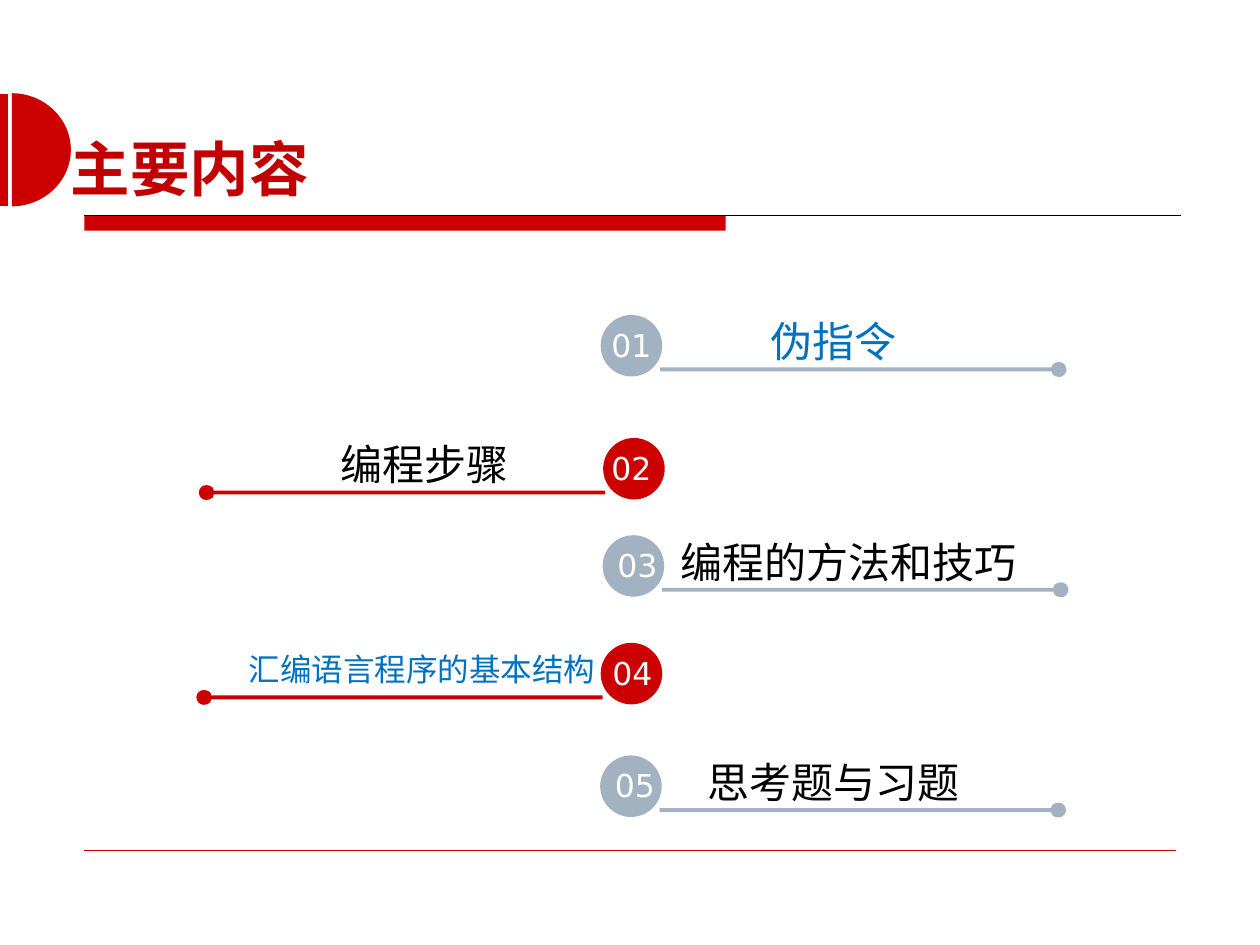
from lxml.etree import SubElement
from pptx import Presentation
from pptx.dml.color import RGBColor
from pptx.enum.shapes import MSO_CONNECTOR, MSO_SHAPE
from pptx.enum.text import MSO_ANCHOR, PP_ALIGN
from pptx.oxml.ns import qn
from pptx.util import Cm, Pt

RED = RGBColor(0xCC, 0x00, 0x00)
TITLE_RED = RGBColor(0xC0, 0x00, 0x00)
GREY = RGBColor(0xA3, 0xB2, 0xC1)
BLUE = RGBColor(0x00, 0x70, 0xC0)
BLACK = RGBColor(0x00, 0x00, 0x00)
WHITE = RGBColor(0xFF, 0xFF, 0xFF)
LATIN, CJK = "DejaVu Sans", "Noto Sans CJK SC"

# Content: label, size, colour, disc centre x, disc top, number centre x, left inset (cm)
TITLE = "主要内容"
ITEMS = [
    ("伪指令", 24, BLUE, 12.73, 6.35, 12.73, 0),
    ("编程步骤", 24, BLACK, 12.78, 8.83, 12.73, 0),
    ("编程的方法和技巧", 24, BLACK, 12.77, 10.79, 12.85, 0.52),
    ("汇编语言程序的基本结构", 18, BLUE, 12.73, 12.96, 12.75, 0),
    ("思考题与习题", 24, BLACK, 12.72, 15.23, 12.8, 0),
]

# Marker geometry (cm)
DISC_R, DOT_R, BAR_HALF = 0.62, 0.15, 0.04
BAR_START, DOT_X, DOT_Y = 0.58, 8.62, 1.1
KAPPA = 0.55  # control length of a quarter-circle curve


def quarters(cx, cy, rx, ry, count):
    """Clockwise from the top: a start point, then one curve per quarter."""
    dirs = [(0, -1), (1, 0), (0, 1), (-1, 0), (0, -1)]
    steps = [[(cx, cy - ry)]]
    for (ax, ay), (bx, by) in zip(dirs[:count], dirs[1:]):
        steps.append([(cx + rx * (ax + KAPPA * bx), cy + ry * (ay + KAPPA * by)),
                      (cx + rx * (bx + KAPPA * ax), cy + ry * (by + KAPPA * ay)),
                      (cx + rx * bx, cy + ry * by)])
    return steps


def paint(sp, color):
    sp.shadow.inherit = False
    sp.fill.solid()
    sp.fill.fore_color.rgb = color
    sp.line.fill.background()


def add_outline(s, contours, color):
    """Draw contours whose steps hold one point (line) or three (curve)."""
    fb = None
    for steps in contours:
        pts = [(Cm(x), Cm(y)) for step in steps for x, y in step]
        if fb is None:
            fb = s.shapes.build_freeform(*pts[0])
        else:
            fb.move_to(*pts[0])
        fb.add_line_segments(pts[1:])
    sp = fb.convert_to_shape()
    # Join the segments of each three-point step into a curve
    nodes = [n for n in sp._element.iter(qn("a:moveTo"), qn("a:lnTo"))]
    i = 0
    for step in (step for steps in contours for step in steps):
        if len(step) == 3:
            first, *rest = nodes[i:i + 3]
            curve = first.makeelement(qn("a:cubicBezTo"))
            first.addprevious(curve)
            for node in (first, *rest):
                curve.append(node[0])
                node.getparent().remove(node)
        i += len(step)
    paint(sp, color)
    return sp


def add_rect(s, x, y, w, h, color):
    sp = s.shapes.add_shape(MSO_SHAPE.RECTANGLE, Cm(x), Cm(y), Cm(w), Cm(h))
    paint(sp, color)


def add_rule(s, x1, x2, y, color, width):
    cn = s.shapes.add_connector(MSO_CONNECTOR.STRAIGHT, Cm(x1), Cm(y), Cm(x2), Cm(y))
    cn.line.color.rgb = color
    cn.line.width = Pt(width)
    SubElement(cn._element.spPr, qn("a:effectLst"))


def set_text(sp, text, size, color, latin=LATIN, bold=False, insets=(0, 0, 0, 0)):
    tf = sp.text_frame
    tf.text = text
    tf.word_wrap = True
    tf.vertical_anchor = MSO_ANCHOR.MIDDLE
    tf.margin_left, tf.margin_top, tf.margin_right, tf.margin_bottom = map(Cm, insets)
    p = tf.paragraphs[0]
    p.alignment = PP_ALIGN.CENTER
    r = p.runs[0]
    r.font.size, r.font.bold, r.font.name = Pt(size), bold, latin
    r.font.color.rgb = color
    SubElement(r._r.get_or_add_rPr(), qn("a:ea"), typeface=CJK)


def add_marker(s, number, item):
    label, size, label_color, cx, top, number_x, inset = item
    on_right = number % 2 == 1
    side = 1 if on_right else -1
    # Bar ending in a dot, mirrored on even rows, plus the number disc
    neck = DOT_X - 0.13
    stem = quarters(DOT_X, 0, DOT_R, DOT_R, 2) + [
        [(DOT_X - 0.05, DOT_R), (DOT_X - 0.1, 0.13), (neck, 0.1)],
        [(neck - 0.02, BAR_HALF)], [(BAR_START, BAR_HALF)],
        [(BAR_START, -BAR_HALF)], [(neck - 0.02, -BAR_HALF)], [(neck, -0.1)],
        [(DOT_X - 0.1, -0.13), (DOT_X - 0.05, -DOT_R), (DOT_X, -DOT_R)],
    ]
    stem = [[(cx + side * x, top + DOT_Y + y) for x, y in step] for step in stem]
    disc = quarters(cx, top + DISC_R, DISC_R, DISC_R, 4)
    sp = add_outline(s, [stem, disc], GREY if on_right else RED)
    set_text(sp, label, size, label_color,
             insets=(inset, 0, 0 if on_right else 0.3, 0.2))
    tb = s.shapes.add_textbox(Cm(number_x - 0.64), Cm(top + 0.04), Cm(1.28), Cm(1.12))
    set_text(tb, f"{number:02d}", 18, WHITE)


def main():
    prs = Presentation()
    prs.slide_width, prs.slide_height = Cm(25.4), Cm(19.05)
    s = prs.slides.add_slide(prs.slide_layouts[5])

    # Header and footer rules
    add_rect(s, 1.7, 4.34, 12.93, 0.31, RED)
    add_rule(s, 1.7, 23.8, 4.34, BLACK, 0.75)
    add_rule(s, 1.7, 23.7, 17.14, RED, 0.25)

    # Title with its half disc at the slide edge
    add_outline(s, [quarters(0.24, 3.02, 1.19, 1.14, 2)], RED)
    add_rect(s, 0, 1.9, 0.16, 2.25, RED)
    title = s.shapes.title
    title.left, title.top, title.width, title.height = Cm(1.3), Cm(2.26), Cm(5.05), Cm(2.26)
    set_text(title, TITLE, 34, TITLE_RED, CJK, bold=True)

    # Numbered agenda
    for number, item in enumerate(ITEMS, 1):
        add_marker(s, number, item)

    prs.save("out.pptx")


if __name__ == "__main__":
    main()
